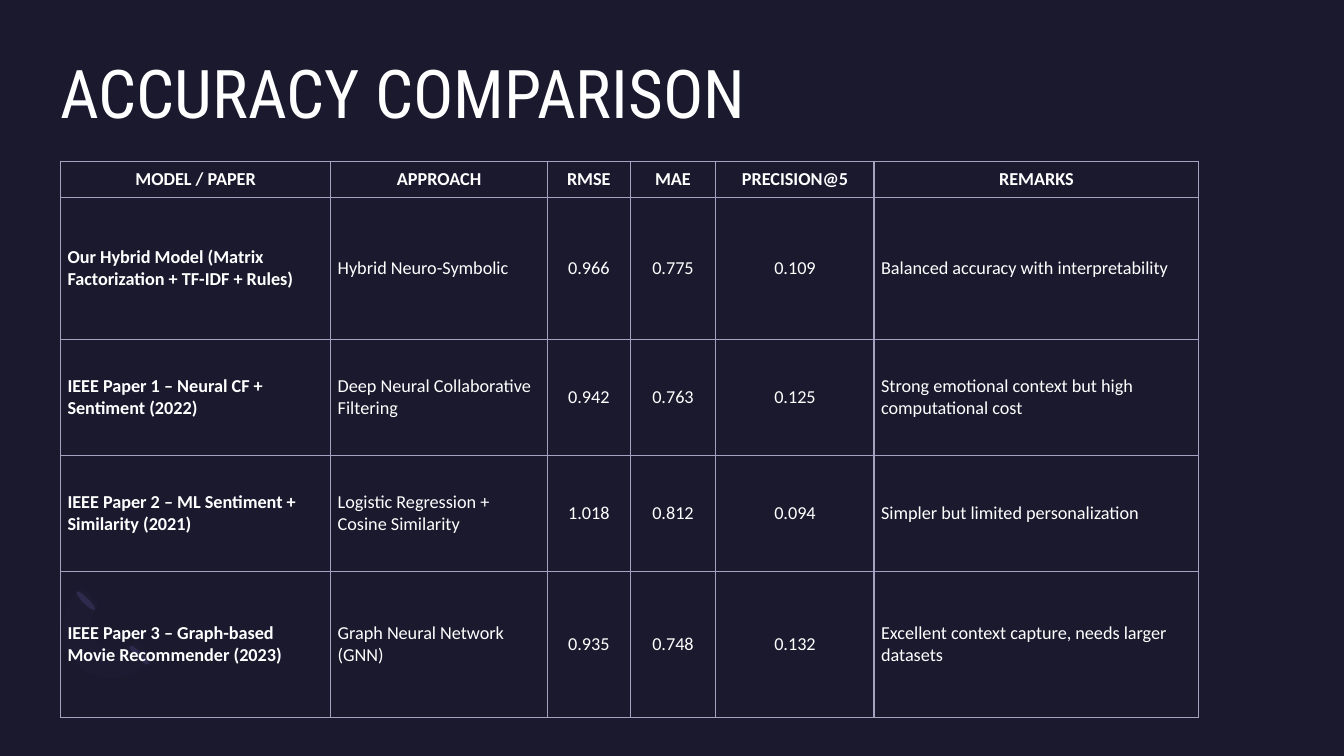
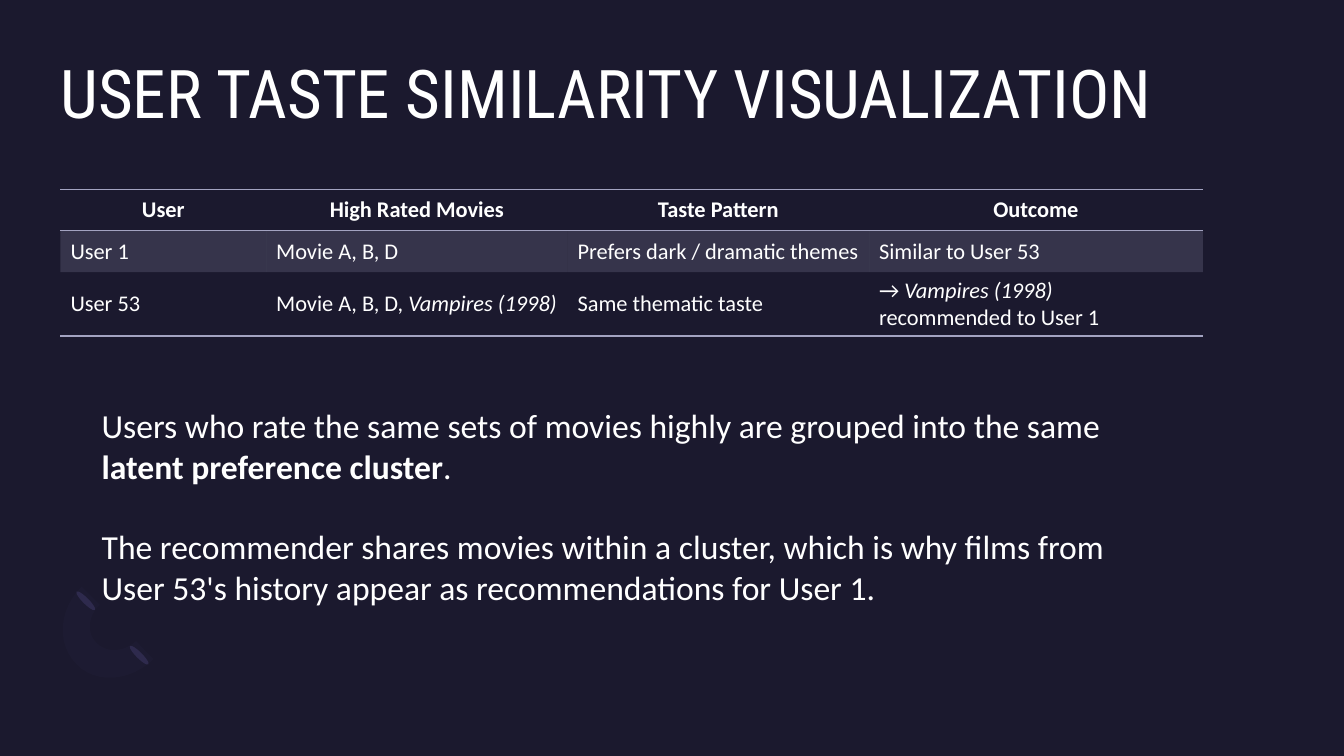
from dataclasses import dataclass

import lxml.etree
import pptx
import pptx.dml.color
import pptx.enum.shapes
import pptx.enum.text
import pptx.oxml.ns
import pptx.util

Inches = pptx.util.Inches
Pt = pptx.util.Pt
qn = pptx.oxml.ns.qn
Color = pptx.dml.color.RGBColor
Align = pptx.enum.text.PP_ALIGN


@dataclass(frozen=True)
class Theme:
    background: str = "1B192E"
    text: str = "FFFFFF"
    rule: str = "A3A3C1"
    dash: str = "2C284A"
    arc: str = "7771B2"
    band_alpha: int = 20
    arc_alpha: int = 3
    title_font: str = "Roboto Condensed"
    body_font: str = "Calibri"
    title_size: int = 48
    body_size: int = 24
    body_gap: int = 29


@dataclass(frozen=True)
class Span:
    text: str
    bold: bool = False
    italic: bool = False


@dataclass(frozen=True)
class Grid:
    top: float
    columns: tuple
    heights: tuple
    rows: tuple
    size: int
    rules: frozenset
    framed: bool = False
    margins: tuple = (0.1, 0.05)
    centered: frozenset = frozenset()
    bold_columns: frozenset = frozenset()
    banded_rows: frozenset = frozenset()


THEME = Theme()
LEFT = 0.6
DASHES = ((1.35, 6.37), (0.82, 5.83))
ARC_START = (0.76, 6.59)
ARC_CURVES = (
    ((0.56, 6.39), (0.58, 6.05), (0.81, 5.82)),
    ((0.99, 6.0),) * 3,
    ((0.87, 6.11), (0.86, 6.29), (0.96, 6.38)),
    ((1.06, 6.48), (1.23, 6.47), (1.35, 6.36)),
    ((1.52, 6.54),) * 3,
    ((1.3, 6.76), (0.95, 6.79), ARC_START),
)

ACCURACY = Grid(
    top=1.6,
    columns=(2.68, 2.15, 0.82, 0.85, 1.57, 3.22),
    heights=(0.36, 1.41, 1.15, 1.15, 1.45),
    rows=(
        ("MODEL / PAPER", "APPROACH", "RMSE", "MAE", "PRECISION@5", "REMARKS"),
        ("Our Hybrid Model (Matrix Factorization + TF-IDF + Rules)", "Hybrid Neuro-Symbolic",
         "0.966", "0.775", "0.109", "Balanced accuracy with interpretability"),
        ("IEEE Paper 1 – Neural CF + Sentiment (2022)", "Deep Neural Collaborative Filtering",
         "0.942", "0.763", "0.125", "Strong emotional context but high computational cost"),
        ("IEEE Paper 2 – ML Sentiment + Similarity (2021)", "Logistic Regression + Cosine Similarity",
         "1.018", "0.812", "0.094", "Simpler but limited personalization"),
        ("IEEE Paper 3 – Graph-based Movie Recommender (2023)", "Graph Neural Network (GNN)",
         "0.935", "0.748", "0.132", "Excellent context capture, needs larger datasets"),
    ),
    size=13,
    rules=frozenset(range(6)),
    framed=True,
    margins=(0.07, 0.04),
    centered=frozenset({2, 3, 4}),
    bold_columns=frozenset({0}),
)

FILM = Span("Vampires (1998)", italic=True)
TASTE = Grid(
    top=1.88,
    columns=(2.04, 2.99, 2.99, 3.31),
    heights=(0.41, 0.41, 0.62),
    rows=(
        ("User", "High Rated Movies", "Taste Pattern", "Outcome"),
        ("User 1", "Movie A, B, D", "Prefers dark / dramatic themes", "Similar to User 53"),
        ("User 53", ((Span("Movie A, B, D, "), FILM),), "Same thematic taste",
         ((Span("→ "), FILM), (Span("recommended to User 1"),))),
    ),
    size=16,
    rules=frozenset({0, 1, 3}),
    banded_rows=frozenset({1}),
)

EXPLANATION = (
    (Span("Users who rate the same sets of movies highly are grouped into the same "),
     Span("latent preference cluster", bold=True), Span(".")),
    (Span("The recommender shares movies within a cluster, which is why films from "
          "User 53's history appear as recommendations for User 1."),),
)


def set_alpha(properties, percent: int) -> None:
    color = properties.find(qn("a:solidFill")).find(qn("a:srgbClr"))
    lxml.etree.SubElement(color, qn("a:alpha"), val=str(percent * 1000))


def write_lines(frame, lines: tuple, size: int, font: str, bold: bool = False,
                align=Align.LEFT, gap: int = 0) -> None:
    for index, line in enumerate(lines):
        paragraph = frame.add_paragraph() if index else frame.paragraphs[0]
        paragraph.alignment = align
        if index and gap:
            paragraph.space_before = Pt(gap)
        for span in line:
            run = paragraph.add_run()
            run.text = span.text
            run.font.name = font
            run.font.size = Pt(size)
            run.font.bold = bold or span.bold
            run.font.italic = span.italic
            run.font.color.rgb = Color.from_string(THEME.text)


def paint(shape, color: str) -> None:
    shape.shadow.inherit = False
    shape.fill.solid()
    shape.fill.fore_color.rgb = Color.from_string(color)
    shape.line.fill.background()


def curve_points(start: tuple, curves: tuple, steps: int = 12) -> list:
    points = []
    for first, second, end in curves:
        for step in range(1, steps + 1):
            t = step / steps
            u = 1 - t
            points.append(tuple(
                Inches(u**3 * a + 3 * u * u * t * b + 3 * u * t * t * c + t**3 * d)
                for a, b, c, d in zip(start, first, second, end)))
        start = end
    return points


def add_ornament(page) -> None:
    for left, top in DASHES:
        dash = page.shapes.add_shape(pptx.enum.shapes.MSO_SHAPE.OVAL,
                                     Inches(left), Inches(top), Inches(0.06), Inches(0.26))
        dash.rotation = 135
        paint(dash, THEME.dash)
    builder = page.shapes.build_freeform(*(Inches(value) for value in ARC_START), scale=1.0)
    builder.add_line_segments(curve_points(ARC_START, ARC_CURVES), close=True)
    arc = builder.convert_to_shape()
    paint(arc, THEME.arc)
    set_alpha(arc._element.spPr, THEME.arc_alpha)


def add_text_box(page, left: float, top: float, width: float, height: float):
    box = page.shapes.add_textbox(Inches(left), Inches(top), Inches(width), Inches(height))
    box.text_frame.word_wrap = True
    return box.text_frame


def add_page(deck, title: str):
    page = deck.slides.add_slide(deck.slide_layouts[6])
    add_ornament(page)
    frame = add_text_box(page, LEFT, 0.6, 12.13, 1.46)
    frame.margin_left = frame.margin_right = frame.margin_top = frame.margin_bottom = 0
    write_lines(frame, ((Span(title),),), THEME.title_size, THEME.title_font)
    frame.paragraphs[0].line_spacing = 0.9
    return page


def set_borders(cell, edges: dict) -> None:
    properties = cell._tc.get_or_add_tcPr()
    for index, (edge, shown) in enumerate(edges.items()):
        border = lxml.etree.Element(qn(f"a:ln{edge}"), w=str(Pt(1)))
        if shown:
            fill = lxml.etree.SubElement(border, qn("a:solidFill"))
            lxml.etree.SubElement(fill, qn("a:srgbClr"), val=THEME.rule)
        else:
            lxml.etree.SubElement(border, qn("a:noFill"))
        properties.insert(index, border)


def fill_cell(cell, banded: bool) -> None:
    if banded:
        cell.fill.solid()
        cell.fill.fore_color.rgb = Color.from_string(THEME.rule)
        set_alpha(cell._tc.tcPr, THEME.band_alpha)
    else:
        cell.fill.background()


def add_grid(page, grid: Grid) -> None:
    table = page.shapes.add_table(
        len(grid.rows), len(grid.columns), Inches(LEFT), Inches(grid.top),
        Inches(sum(grid.columns)), Inches(sum(grid.heights))).table
    table.first_row = table.horz_banding = False
    for column, width in zip(table.columns, grid.columns):
        column.width = Inches(width)
    for row, height in zip(table.rows, grid.heights):
        row.height = Inches(height)
    for r, row in enumerate(grid.rows):
        for c, content in enumerate(row):
            cell = table.cell(r, c)
            cell.margin_left = cell.margin_right = Inches(grid.margins[0])
            cell.margin_top = cell.margin_bottom = Inches(grid.margins[1])
            cell.vertical_anchor = pptx.enum.text.MSO_ANCHOR.MIDDLE
            lines = ((Span(content),),) if isinstance(content, str) else content
            header = r == 0
            write_lines(cell.text_frame, lines, grid.size, THEME.body_font,
                        bold=header or c in grid.bold_columns,
                        align=Align.CENTER if header or c in grid.centered else Align.LEFT)
            fill_cell(cell, r in grid.banded_rows)
            set_borders(cell, {"L": grid.framed, "R": grid.framed,
                               "T": r in grid.rules, "B": r + 1 in grid.rules})


def main() -> None:
    deck = pptx.Presentation()
    deck.slide_width, deck.slide_height = Inches(13.33), Inches(7.5)
    background = deck.slide_master.background.fill
    background.solid()
    background.fore_color.rgb = Color.from_string(THEME.background)

    add_grid(add_page(deck, "ACCURACY COMPARISON"), ACCURACY)

    page = add_page(deck, "USER TASTE SIMILARITY VISUALIZATION")
    add_grid(page, TASTE)
    write_lines(add_text_box(page, 0.91, 3.97, 10.49, 2.12), EXPLANATION,
                THEME.body_size, THEME.body_font, gap=THEME.body_gap)
    deck.save("out.pptx")


if __name__ == "__main__":
    main()
